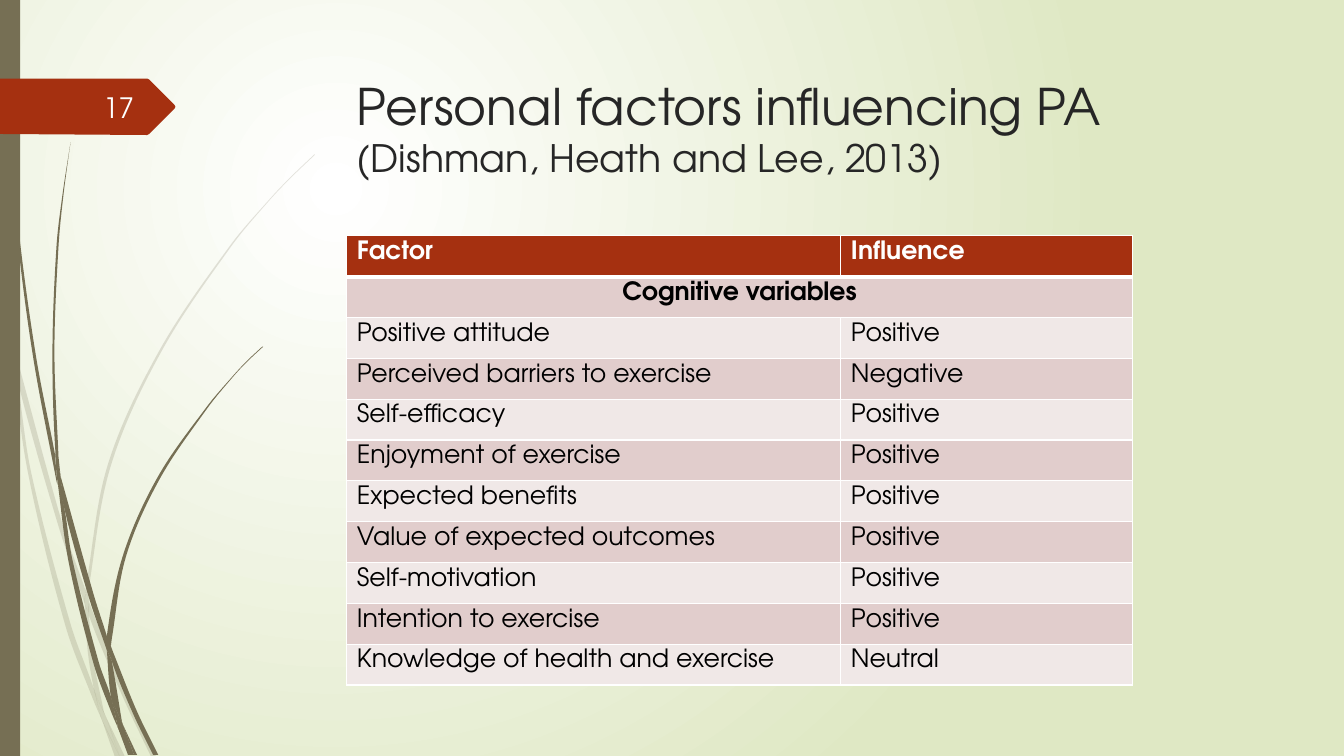
from math import dist
from lxml import etree
from pptx import Presentation
from pptx.dml.color import RGBColor
from pptx.enum.text import MSO_ANCHOR, MSO_AUTO_SIZE, PP_ALIGN
from pptx.enum.shapes import MSO_SHAPE
from pptx.oxml.ns import qn
from pptx.util import Inches, Pt

TOP, MIDDLE = MSO_ANCHOR.TOP, MSO_ANCHOR.MIDDLE
LEFT, CENTER, RIGHT = PP_ALIGN.LEFT, PP_ALIGN.CENTER, PP_ALIGN.RIGHT
NO_FIT = MSO_AUTO_SIZE.NONE
RECT = MSO_SHAPE.RECTANGLE

COLORS = {
    "white": "FFFFFF", "sage": "DFE8C4", "olive": "766F54", "rust": "A53010",
    "ink": "262626", "black": "000000", "page": "FEFFFF",
    "rose": "E1CDCC", "blush": "F0E8E7",
}

FACTORS = [
    ("Factor", "Influence"),
    ("Cognitive variables", ""),
    ("Positive attitude", "Positive"),
    ("Perceived barriers to exercise", "Negative"),
    ("Self-efficacy", "Positive"),
    ("Enjoyment of exercise", "Positive"),
    ("Expected benefits", "Positive"),
    ("Value of expected outcomes", "Positive"),
    ("Self-motivation", "Positive"),
    ("Intention to exercise", "Positive"),
    ("Knowledge of health and exercise", "Neutral"),
]

FAINT = [
    ([(0.11, 3.5), (0.09, 3.22), (0, 2.82)], [(0, 2.99), (0.1, 3.44), (0.11, 3.5)]),
    ([(0.14, 3.45), (0.17, 3.76), (0.58, 5.22), (0.84, 5.99)],
     [(0.85, 5.86), (0.62, 5.2), (0.14, 3.45)]),
    ([(0.88, 5.96), (0.88, 6.1), (1.23, 6.94), (1.5, 7.51)],
     [(1.55, 7.51), (1.27, 6.92), (0.92, 6.07), (0.88, 5.96)]),
    ([(1.05, 7.11), (1.19, 7.51)], [(1.24, 7.51), (1.05, 7.11)]),
    ([(0.11, 3.5), (0.28, 4.7), (0.65, 6.21), (0.92, 6.93), (1.01, 7.14)],
     [(0.99, 7.07), (0.93, 6.83), (0.7, 6.19), (0.31, 4.69), (0.17, 3.76), (0.11, 3.5)]),
    ([(0.84, 5.99), (0.87, 6.46), (0.93, 6.83), (0.96, 6.92), (1.05, 7.11)],
     [(1.03, 7.06), (0.91, 6.46), (0.88, 6.1), (0.84, 5.99)]),
    ([(0.88, 5.96), (0.88, 5.84), (1.1, 4.62), (1.6, 3.49), (2.29, 2.45), (2.68, 1.98),
      (2.9, 1.75), (3.12, 1.54)],
     [(3.12, 1.53), (2.89, 1.75), (2.68, 1.97), (2.28, 2.44), (1.58, 3.48), (1.07, 4.61),
      (0.85, 5.84), (0.85, 5.86)]),
    ([(1.01, 7.14), (1.14, 7.51)], [(1.19, 7.51), (1.01, 7.14)]),
    ([(0.88, 6.08), (0.88, 6.1), (0.88, 5.96)], [(0.85, 5.86), (0.84, 5.99), (0.88, 6.08)]),
    ([(0.93, 6.83), (0.99, 7.07), (1.01, 7.14), (1.19, 7.51)],
     [(1.19, 7.51), (1.05, 7.11), (0.96, 6.92), (0.93, 6.83)]),
]

BOLD = [
    ([(0.03, 0), (0.04, 0.48), (0.07, 1.1), (0.17, 2.33), (0.33, 3.55), (0.56, 4.77),
      (0.57, 4.81)],
     [(0.55, 4.57), (0.55, 4.53), (0.36, 3.55), (0.19, 2.32), (0.08, 1.09), (0.05, 0.48),
      (0.04, 0)]),
    ([(0.6, 4.72), (0.64, 5.05), (0.88, 5.92), (1.06, 6.45)],
     [(1.06, 6.33), (1.06, 6.31), (0.93, 5.9), (0.6, 4.72)]),
    ([(1.1, 6.41), (1.11, 6.56), (1.32, 7.08), (1.52, 7.49)],
     [(1.57, 7.49), (1.36, 7.06), (1.13, 6.49), (1.1, 6.41)]),
    ([(0.57, 4.77), (0.68, 5.57), (0.93, 6.59), (1.11, 7.08), (1.17, 7.22)],
     [(1.16, 7.17), (1.1, 6.91), (0.98, 6.57), (0.72, 5.56), (0.64, 5.05), (0.57, 4.77)]),
    ([(0.7, 1.41), (0.62, 1.93), (0.56, 2.45), (0.52, 3.49), (0.55, 4.49), (0.6, 4.72)],
     [(0.58, 4.53), (0.54, 3.49), (0.58, 2.45), (0.63, 1.93), (0.7, 1.41)]),
    ([(1.22, 7.19), (1.33, 7.49)], [(1.36, 7.49), (1.22, 7.19)]),
    ([(0.55, 4.49), (0.55, 4.53), (0.57, 4.77), (0.64, 5.05)],
     [(0.6, 4.72), (0.55, 4.49)]),
    ([(1.1, 6.41), (1.11, 6.33), (1.25, 5.52), (1.58, 4.76), (2.05, 4.06), (2.31, 3.74),
      (2.45, 3.59), (2.61, 3.44)],
     [(2.6, 3.44), (2.45, 3.58), (2.31, 3.73), (2.04, 4.05), (1.56, 4.74), (1.22, 5.51),
      (1.06, 6.31), (1.1, 6.41)]),
    ([(1.17, 7.22), (1.27, 7.49)], [(1.31, 7.49), (1.17, 7.22)]),
    ([(1.06, 6.45), (1.1, 6.91), (1.16, 7.06), (1.22, 7.19)],
     [(1.21, 7.16), (1.11, 6.56), (1.09, 6.51), (1.06, 6.45)]),
    ([(1.06, 6.45), (1.09, 6.51), (1.11, 6.56)],
     [(1.1, 6.41), (1.06, 6.31), (1.06, 6.45)]),
    ([(1.1, 6.91), (1.16, 7.17), (1.17, 7.22), (1.3, 7.49)],
     [(1.33, 7.49), (1.22, 7.19), (1.16, 7.06), (1.1, 6.91)]),
]

TAG = [(0, 0.78), (1.46, 0.78), (1.48, 0.79), (1.73, 1.04), (1.74, 1.06),
       (1.73, 1.08), (1.48, 1.33), (1.46, 1.34), (0, 1.33)]


def hue(name):
    return RGBColor.from_string(COLORS[name])


def handle(knot, back, ahead, reach):
    """Return the control point that lies at this reach along the tangent."""
    share = reach / (dist(back, ahead) or 1)
    return tuple(k + (a - b) * share for k, b, a in zip(knot, back, ahead))


def bend(shape, split):
    """Turn the straight segments of both edges of a stem into curves."""
    trace = shape.element.find(".//" + qn("a:path"))
    nodes = list(trace)[:-1]
    knots = [(int(n[0].get("x")), int(n[0].get("y"))) for n in nodes]
    for first, last in ((0, split - 1), (split, len(knots) - 1)):
        for i in range(first, last):
            b, c = knots[i], knots[i + 1]
            a, d = knots[max(i - 1, first)], knots[min(i + 2, last)]
            reach = dist(b, c) / 3
            arc = etree.Element(qn("a:cubicBezTo"))
            for x, y in (handle(b, a, c, reach), handle(c, d, b, reach), c):
                etree.SubElement(arc, qn("a:pt"), x=str(round(x)), y=str(round(y)))
            trace.replace(nodes[i + 1], arc)


class Deck:
    """Hold the style and the current slide."""

    font = "TeX Gyre Adventor"

    def __init__(self):
        self.prs = Presentation()
        self.prs.slide_width, self.prs.slide_height = Inches(13.33), Inches(7.5)
        self.slide = self.prs.slides.add_slide(self.prs.slide_layouts[5])
        self.shapes = self.slide.shapes

    def glow(self, inner, outer):
        fill = self.slide.background.fill
        fill.gradient()
        for stop, name in zip(fill.gradient_stops, (inner, outer)):
            stop.color.rgb = hue(name)
        grad = self.slide.element.find(".//" + qn("a:gradFill"))
        grad.remove(grad.find(qn("a:lin")))
        ring = etree.SubElement(grad, qn("a:path"), path="circle")
        etree.SubElement(ring, qn("a:fillToRect"),
                         l="50000", t="50000", r="100000", b="100000")

    def paint(self, shape, name, alpha=100):
        shape.shadow.inherit = False
        shape.fill.solid()
        shape.fill.fore_color.rgb = hue(name)
        shape.line.fill.background()
        if alpha < 100:
            tint = shape.element.spPr.find(".//" + qn("a:srgbClr"))
            etree.SubElement(tint, qn("a:alpha"), val=str(alpha * 1000))

    def outline(self, points, name, alpha=100):
        spots = [(Inches(x), Inches(y)) for x, y in points]
        pen = self.shapes.build_freeform(*spots[0])
        pen.add_line_segments(spots[1:], close=True)
        shape = pen.convert_to_shape()
        self.paint(shape, name, alpha)
        return shape

    def stem(self, out, back, alpha):
        bend(self.outline(out + back, "olive", alpha), len(out))

    def bar(self, box, name):
        self.paint(self.shapes.add_shape(RECT, *map(Inches, box)), name)

    def style(self, para, name, align=LEFT, size=None, bold=False):
        para.alignment = align
        para.font.name, para.font.bold = self.font, bold
        para.font.color.rgb = hue(name)
        if size:
            para.font.size = Pt(size)

    def title(self, box, parts):
        shape = self.shapes.title
        shape.left, shape.top, shape.width, shape.height = map(Inches, box)
        frame = shape.text_frame
        frame.auto_size, frame.vertical_anchor, frame.word_wrap = NO_FIT, TOP, True
        para = frame.paragraphs[0]
        self.style(para, "ink")
        for text, size in parts:
            run = para.add_run()
            run.text, run.font.size = text, Pt(size)

    def label(self, box, text, name, size):
        frame = self.shapes.add_textbox(*map(Inches, box)).text_frame
        frame.word_wrap, frame.vertical_anchor = True, MIDDLE
        frame.text = text
        self.style(frame.paragraphs[0], name, RIGHT, size)

    def cell(self, cell, text, fill, ink, align, bold, edges):
        cell.text = text
        self.style(cell.text_frame.paragraphs[0], ink, align, 18, bold)
        props = cell._tc.get_or_add_tcPr()
        for side, width in zip("LRTB", edges):
            line = etree.SubElement(props, qn("a:ln" + side), w=str(Pt(width)))
            solid = etree.SubElement(line, qn("a:solidFill"))
            etree.SubElement(solid, qn("a:srgbClr"), val=COLORS["white"])
        cell.fill.solid()
        cell.fill.fore_color.rgb = hue(fill)

    def table(self, box, widths, rows):
        grid = self.shapes.add_table(len(rows), len(widths), *map(Inches, box)).table
        for col, width in zip(grid.columns, widths):
            col.width = Inches(width)
        for i, row in enumerate(rows):
            fill = "rust" if i == 0 else ("blush", "rose")[i % 2]
            ink = "black" if i else "white"
            align = CENTER if i == 1 else LEFT
            edges = (1, 1, 3 if i == 1 else 1, 1 if i else 3)
            for j, text in enumerate(row):
                self.cell(grid.cell(i, j), text, fill, ink, align, i < 2, edges)
        grid.cell(1, 0).merge(grid.cell(1, 1))


def main():
    deck = Deck()
    deck.glow("white", "sage")
    for stems, alpha in ((FAINT, 20), (BOLD, 100)):
        for out, back in stems:
            deck.stem(out, back, alpha)
    deck.bar((0, 0, 0.2, 7.5), "olive")
    deck.outline(TAG, "rust")
    deck.title((3.44, 0.69, 7.8, 1.4), [("Personal factors influencing PA ", 36),
                                        ("(Dishman, Heath and Lee, 2013)", 27)])
    deck.table((3.44, 2.34, 7.79, 4.46), (4.9, 2.89), FACTORS)
    deck.label((0.58, 0.86, 0.85, 0.4), "17", "page", 20)
    deck.prs.save("out.pptx")


if __name__ == "__main__":
    main()
